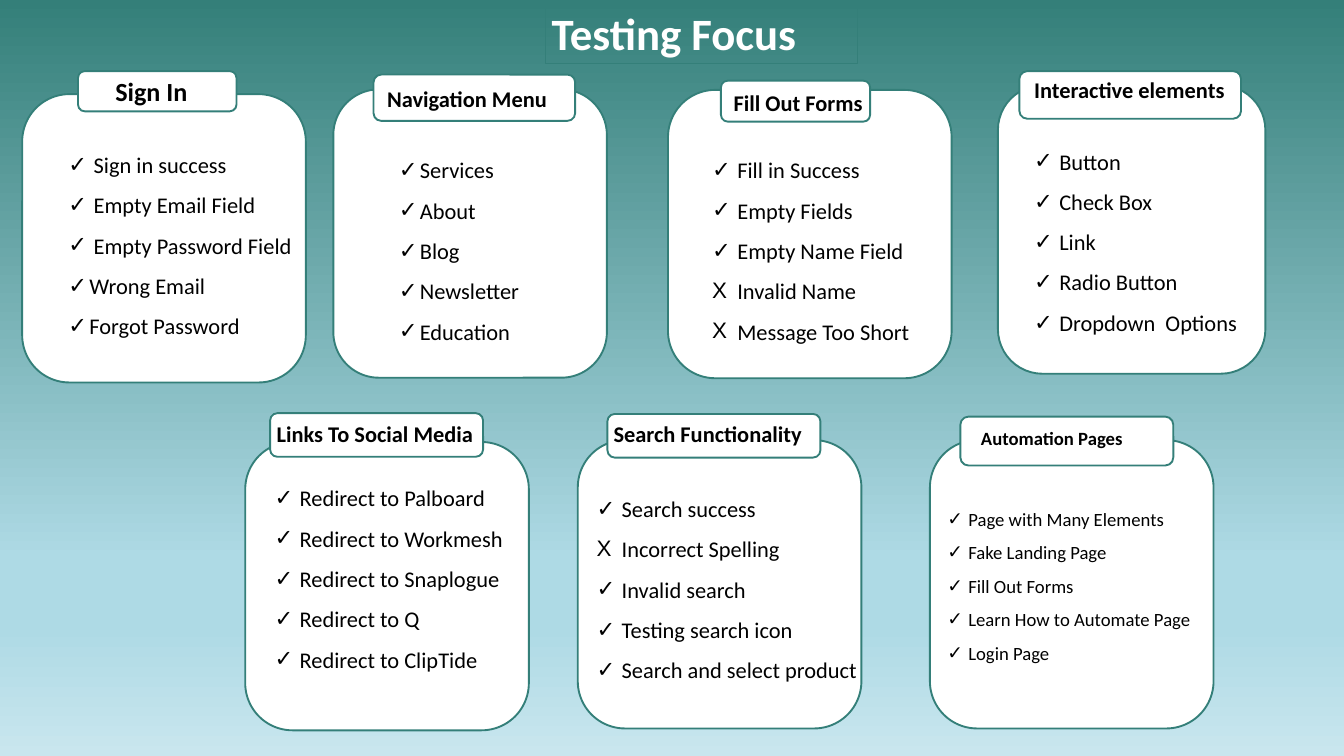
from typing import NamedTuple

from lxml.etree import SubElement
from pptx import Presentation
from pptx.dml.color import RGBColor
from pptx.enum.shapes import MSO_SHAPE
from pptx.enum.text import PP_ALIGN, MSO_ANCHOR
from pptx.oxml.ns import qn
from pptx.util import Cm, Pt

FONT = "Calibri"
TEAL = "347F79"
WHITE = "FFFFFF"
BLACK = "000000"
SKY_STOPS = [(0, TEAL), (74, "AEDAE5"), (83, "AEDAE5"), (100, "C9E6EE")]
CHECK = "✓"
CROSS = "X"
CARD_HEIGHT = 10.9
WIDE_INDENT = 0.95
NARROW_INDENT = 0.79


class Box(NamedTuple):
    """A rectangle in centimetres."""
    left: float
    top: float
    width: float
    height: float


class Item(NamedTuple):
    text: str
    bullet: str = CHECK
    indent: float = WIDE_INDENT


class Card(NamedTuple):
    title: str
    body: Box
    tab: Box
    title_box: Box
    list_box: Box
    items: list[Item]
    title_size: int = 24
    item_size: int = 24


def checks(*texts: str, indent: float = WIDE_INDENT) -> list[Item]:
    return [Item(text, CHECK, indent) for text in texts]


CARDS = [
    Card("Sign In", Box(0.84, 3.56, 10.72, CARD_HEIGHT), Box(2.95, 2.69, 5.99, 1.52),
         Box(4.11, 2.72, 5.38, 1.5), Box(2.34, 5.08, 9.68, 7.8),
         checks("Sign in success", "Empty Email Field", "Empty Password Field")
         + checks("Wrong Email", "Forgot Password", indent=NARROW_INDENT),
         title_size=28),
    Card("Navigation Menu", Box(12.6, 3.38, 10.34, CARD_HEIGHT), Box(14.12, 2.82, 7.62, 1.75),
         Box(14.38, 3.1, 7.59, 1.27), Box(14.83, 5.28, 7.14, 7.8),
         checks("Services", "About", "Blog", "Newsletter", "Education", indent=NARROW_INDENT)),
    Card("Fill Out Forms", Box(25.25, 3.4, 10.72, CARD_HEIGHT), Box(27.25, 3.05, 5.64, 1.55),
         Box(27.48, 3.25, 5.64, 1.27), Box(26.67, 5.28, 9.73, 7.8),
         checks("Fill in Success", "Empty Fields", "Empty Name Field")
         + [Item("Invalid Name", CROSS), Item("Message Too Short", CROSS)]),
    Card("Interactive elements", Box(37.72, 3.23, 10.11, CARD_HEIGHT), Box(38.53, 2.69, 8.38, 1.8),
         Box(38.84, 2.77, 8.38, 1.27), Box(38.84, 4.95, 9.73, 7.8),
         checks("Button", "Check Box", "Link", "Radio Button", "Dropdown  Options")),
    Card("Links To Social Media", Box(9.27, 16.71, 10.72, CARD_HEIGHT), Box(10.21, 15.62, 8.05, 1.65),
         Box(10.21, 15.77, 8.66, 1.27), Box(10.13, 17.68, 9.73, 7.8),
         checks("Redirect to Palboard", "Redirect to Workmesh", "Redirect to Snaplogue",
                "Redirect to Q", "Redirect to ClipTide")),
    Card("Search Functionality", Box(21.84, 16.64, 10.72, CARD_HEIGHT), Box(22.96, 15.65, 8.05, 1.65),
         Box(22.94, 15.77, 8.05, 1.27), Box(22.3, 18.08, 11.2, 7.8),
         [Item("Search success"), Item("Incorrect Spelling", CROSS)]
         + checks("Invalid search", "Testing search icon", "Search and select product")),
    Card("Automation Pages", Box(35.15, 16.64, 10.72, CARD_HEIGHT), Box(36.3, 15.75, 8.05, 1.85),
         Box(36.83, 16, 7.19, 1.12), Box(35.56, 18.64, 10.72, 7.8),
         checks("Page with Many Elements", "Fake Landing Page", "Fill Out Forms",
                "Learn How to Automate Page", "Login Page", indent=NARROW_INDENT),
         title_size=20, item_size=20),
]


def color(hex_code: str) -> RGBColor:
    return RGBColor.from_string(hex_code)


def lengths(box: Box) -> list[Cm]:
    return [Cm(value) for value in box]


def paint_background(page) -> None:
    """Fill the page with a top-to-bottom gradient of several stops."""
    fill = page.background.fill
    fill.gradient()
    gradient = page.background._cSld.bg.bgPr.find(qn("a:gradFill"))
    stops = gradient.find(qn("a:gsLst"))
    for stop in list(stops):
        stops.remove(stop)
    for percent, hex_code in SKY_STOPS:
        stop = SubElement(stops, qn("a:gs"), pos=str(percent * 1000))
        SubElement(stop, qn("a:srgbClr"), val=hex_code)
    fill.gradient_angle = 270


def add_panel(page, box: Box, preset=MSO_SHAPE.ROUNDED_RECTANGLE,
              fill: str | None = WHITE, line_width: float = 2):
    panel = page.shapes.add_shape(preset, *lengths(box))
    panel.shadow.inherit = False
    if fill:
        panel.fill.solid()
        panel.fill.fore_color.rgb = color(fill)
    else:
        panel.fill.background()
    panel.line.color.rgb = color(TEAL)
    panel.line.width = Pt(line_width)
    return panel


def add_text_box(page, box: Box):
    return page.shapes.add_textbox(*lengths(box))


def set_bullet(para, bullet: str, indent: float) -> None:
    """Give the paragraph a hanging bullet character."""
    properties = para._p.get_or_add_pPr()
    properties.set("marL", str(Cm(indent)))
    properties.set("indent", str(-Cm(indent)))
    SubElement(properties, qn("a:buFont"), typeface="Arial")
    SubElement(properties, qn("a:buChar"), char=bullet)


def write_text(shape, items: list[Item], *, size: float, hex_code: str = BLACK,
               bold: bool = False, bullets: bool = False) -> None:
    frame = shape.text_frame
    frame.word_wrap = True
    frame.vertical_anchor = MSO_ANCHOR.TOP
    for index, item in enumerate(items):
        para = frame.add_paragraph() if index else frame.paragraphs[0]
        para.alignment = PP_ALIGN.LEFT
        if bullets:
            para.line_spacing = 1.5
            set_bullet(para, item.bullet, item.indent)
        span = para.add_run()
        span.text = item.text
        span.font.name = FONT
        span.font.size = Pt(size)
        span.font.bold = bold
        span.font.color.rgb = color(hex_code)


def add_card(page, card: Card) -> None:
    add_panel(page, card.body)
    write_text(add_text_box(page, card.list_box), card.items, size=card.item_size, bullets=True)
    add_panel(page, card.tab)
    write_text(add_text_box(page, card.title_box), [Item(card.title)],
               size=card.title_size, bold=True)


def main() -> None:
    deck = Presentation()
    deck.slide_width = Cm(50.8)
    deck.slide_height = Cm(28.58)
    page = deck.slides.add_slide(deck.slide_layouts[6])
    paint_background(page)
    heading = add_panel(page, Box(20.6, 0.08, 11.79, 2.31), MSO_SHAPE.RECTANGLE,
                        fill=None, line_width=0.75)
    write_text(heading, [Item("Testing Focus")], size=48, hex_code=WHITE, bold=True)
    for card in CARDS:
        add_card(page, card)
    deck.save("out.pptx")


if __name__ == "__main__":
    main()
